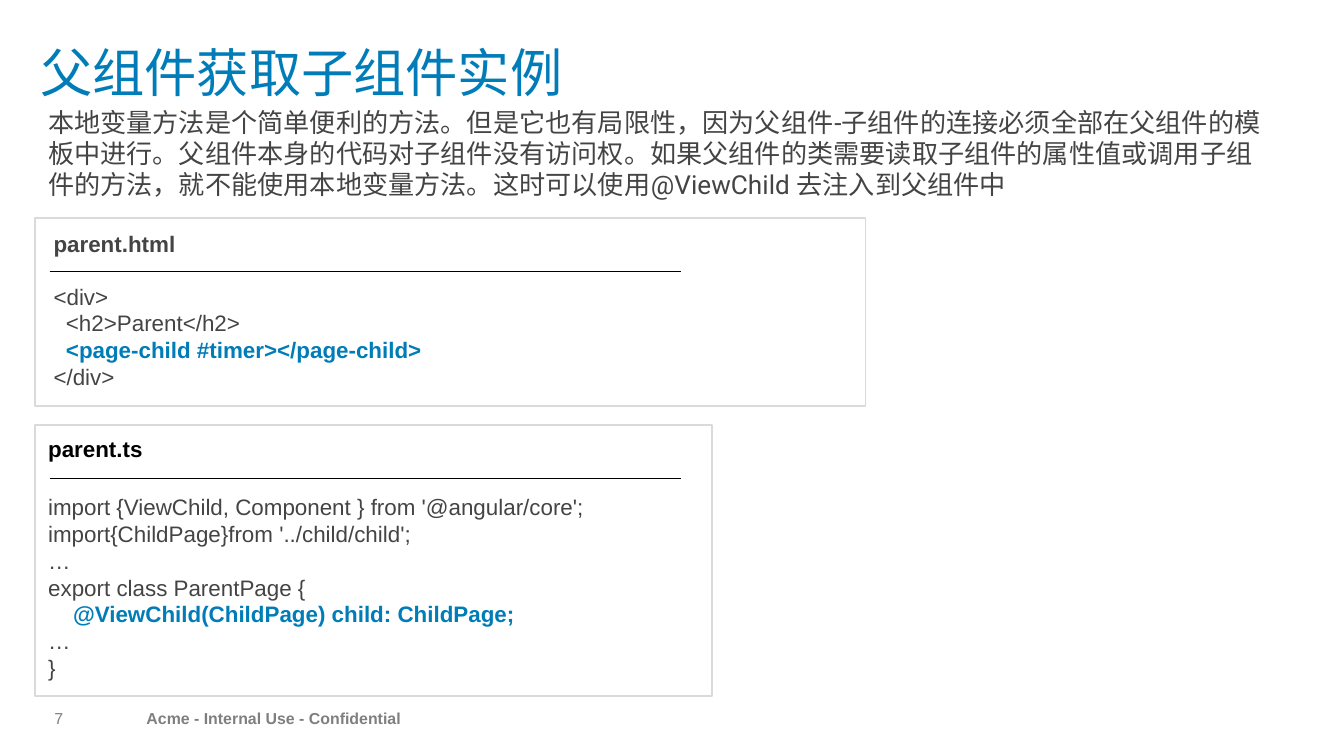
from pptx import Presentation
from pptx.dml.color import RGBColor
from pptx.enum import shapes, text
from pptx.oxml import ns
from pptx.util import Inches, Pt
from lxml import etree

BLUE = RGBColor(0x00, 0x7D, 0xB8)
DARK = RGBColor(0x44, 0x44, 0x44)
GREY = RGBColor(0x7F, 0x7F, 0x7F)
PALE = RGBColor(0xDA, 0xDA, 0xDA)
BLACK = RGBColor(0, 0, 0)


def write(par, words, size=12, color=DARK, bold=False, font="Arial"):
    """Add a formatted run to a paragraph."""
    run = par.add_run()
    run.text = words
    run.font.size = Pt(size)
    run.font.name = font
    run.font.bold = bold
    run.font.color.rgb = color


class Deck:
    def __init__(self):
        self.prs = Presentation()
        self.prs.slide_width = Inches(10)
        self.prs.slide_height = Inches(10) * 9 // 16
        self.slide = self.prs.slides.add_slide(self.prs.slide_layouts[5])

    def title(self, words, *box):
        shape = self.slide.shapes.title
        shape.left, shape.top, shape.width, shape.height = map(Inches, box)
        frame = shape.text_frame
        frame.auto_size = text.MSO_AUTO_SIZE.NONE
        frame.vertical_anchor = text.MSO_ANCHOR.TOP
        frame.margin_left = frame.margin_right = 0
        par = frame.paragraphs[0]
        par.alignment = text.PP_ALIGN.LEFT
        par.line_spacing = 0.9
        write(par, words, size=28, color=BLUE)

    def frame(self, *box):
        frame = self.slide.shapes.add_textbox(*map(Inches, box)).text_frame
        frame.word_wrap = True
        return frame

    def body(self, words, *box):
        write(self.frame(*box).paragraphs[0], words, size=14, font="Roboto")

    def footer(self, words, *box, align=text.PP_ALIGN.LEFT, **style):
        frame = self.frame(*box)
        frame.margin_left = frame.margin_right = 0
        frame.margin_top = frame.margin_bottom = 0
        frame.vertical_anchor = text.MSO_ANCHOR.MIDDLE
        par = frame.paragraphs[0]
        par.alignment = align
        par.line_spacing = 0.9
        write(par, words, size=8.5, color=GREY, **style)

    def panel(self, *box):
        rect = self.slide.shapes.add_shape(
            shapes.MSO_SHAPE.RECTANGLE, *map(Inches, box))
        rect.shadow.inherit = False
        rect.fill.background()
        rect.line.color.rgb = PALE
        rect.line.width = Pt(1)

    def rule(self, left, right, top):
        line = self.slide.shapes.add_connector(
            shapes.MSO_CONNECTOR.STRAIGHT,
            Inches(left), Inches(top), Inches(right), Inches(top))
        line.line.color.rgb = BLACK
        line.line.width = Pt(1)
        etree.SubElement(line._element.spPr, ns.qn("a:effectLst"))

    def code(self, name, lines, *box, key, gap, color=DARK):
        """File name, then code with the key line picked out."""
        frame = self.frame(*box)
        write(frame.paragraphs[0], name, color=color, bold=True)
        for i, line in enumerate(lines):
            par = frame.add_paragraph()
            if i == 0:
                par.space_before = Pt(gap)
            if i == key:
                # The indent stays plain, as in the other lines
                words = line.lstrip()
                write(par, line[:-len(words)])
                write(par, words, color=BLUE, bold=True)
            else:
                write(par, line)


def main():
    deck = Deck()

    # Footer
    deck.footer("Acme - Internal Use - Confidential",
                1.09, 5.29, 2, 0.13, bold=True)
    deck.footer("7", 0.32, 5.29, 0.15, 0.13, align=text.PP_ALIGN.RIGHT)

    # Heading
    deck.title("父组件获取子组件实例", 0.3, 0.3, 8.7, 0.7)

    # Template panel
    deck.panel(0.26, 1.62, 6.18, 1.4)
    deck.code("parent.html", [
        "<div>",
        "  <h2>Parent</h2>",
        "  <page-child #timer></page-child>",
        "</div>",
    ], 0.3, 1.66, 6.05, 1.31, key=2, gap=14)
    deck.rule(0.37, 5.07, 2.02)

    # Class panel
    deck.code("parent.ts", [
        "import {ViewChild, Component } from '@angular/core';",
        "import{ChildPage}from '../child/child';",
        "…",
        "export class ParentPage {",
        "    @ViewChild(ChildPage) child: ChildPage;",
        "…",
        "}",
    ], 0.26, 3.19, 4.51, 1.99, key=4, gap=16.5, color=BLACK)
    deck.panel(0.26, 3.16, 5.04, 2.02)
    deck.rule(0.37, 5.07, 3.56)

    # Introduction
    deck.body(
        "本地变量方法是个简单便利的方法。但是它也有局限性，因为父组件-子组件的"
        "连接必须全部在父组件的模板中进行。父组件本身的代码对子组件没有访问权。"
        "如果父组件的类需要读取子组件的属性值或调用子组件的方法，就不能使用本地"
        "变量方法。这时可以使用@ViewChild 去注入到父组件中",
        0.26, 0.74, 9.3, 0.81)

    deck.prs.save("out.pptx")


if __name__ == "__main__":
    main()
